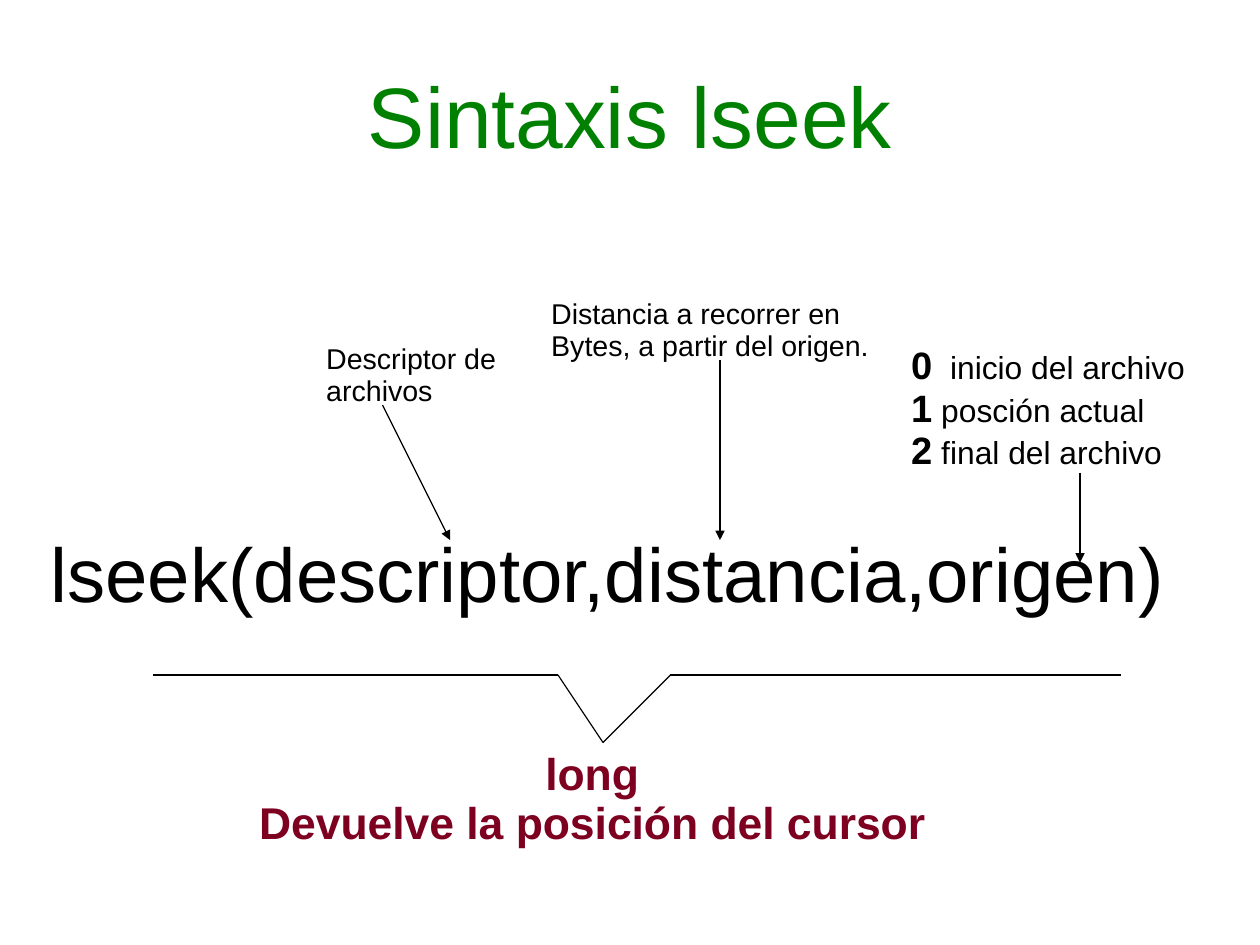
from itertools import pairwise

from lxml import etree
from pptx import Presentation
from pptx import util as u
from pptx.dml.color import RGBColor
from pptx.enum import shapes, text
from pptx.oxml.ns import qn

# Content: the slide is a grid of 28 columns by 21 rows, one centimetre each
COLS, ROWS = 28, 21
BLACK, GREEN, WINE, WHITE = "000000", "008000", "7E0021", "FFFFFF"
FONT = "Arial"
LEFT, MID = text.PP_ALIGN.LEFT, text.PP_ALIGN.CENTER

# Each run: wording, size, bold
TITLE = [[("Sintaxis lseek", 54, False)]]
CALL = [[("lseek(descriptor,distancia,origen)", 48, False)]]

# Each note: area, alignment, colour, top margin, lines
NOTES = [
    ((7, 7.5, 4.27, 1.68), LEFT, BLACK, 0.06,
     [[("Descriptor de", 18, False)], [("archivos", 18, False)]]),
    ((12, 6.5, 7.72, 3), LEFT, BLACK, 0.06,
     [[("Distancia a recorrer en", 18, False)],
      [("Bytes, a partir del origen.", 18, False)]]),
    ((20, 7.5, 6.58, 3.15), LEFT, BLACK, 0.07,
     [[("0", 24, True), ("  inicio del archivo", 20, False)],
      [("1", 24, True), (" posción actual", 20, False)],
      [("2", 24, True), (" final del archivo", 20, False)]]),
    ((5.5, 16.5, 15.32, 2.51), MID, WINE, 0.07,
     [[("long", 28, True)], [("Devuelve la posición del cursor", 28, True)]]),
]
ARROWS = [((8.5, 9), (10, 12)), ((16, 8), (16, 12)), ((24, 10.5), (24, 12.5))]
BRACE = [(3.4, 15), (12.4, 15), (13.4, 16.5), (14.9, 15), (24.9, 15)]


def color(code):
    return RGBColor.from_string(code)


def grid(*cells):
    return [u.Cm(cell) for cell in cells]


def write(shape, lines, align, code, side=0, top=0.05, wrap=True, anchor="MIDDLE"):
    frame = shape.text_frame
    frame.text = "\n".join("".join(run[0] for run in line) for line in lines)
    frame.auto_size = text.MSO_AUTO_SIZE.NONE
    frame.word_wrap = wrap
    frame.vertical_anchor = text.MSO_ANCHOR[anchor]
    frame.margin_left = frame.margin_right = u.Inches(side)
    frame.margin_top = u.Inches(top)
    frame.margin_bottom = u.Inches(0.05 if side else 0)
    for para, line in zip(frame.paragraphs, lines):
        para.alignment, para.line_spacing = align, 0.93
        para.space_before = para.space_after = u.Pt(0)
        para.clear()
        for words, size, bold in line:
            run = para.add_run()
            run.text = words
            font = run.font
            font.name, font.size, font.bold = FONT, u.Pt(size), bold
            font.color.rgb = color(code)


def draw(start, end, arrow=False):
    line = slide.shapes.add_connector(
        shapes.MSO_CONNECTOR.STRAIGHT, *grid(*start, *end))
    line.line.color.rgb = color(BLACK)
    line.line.width = u.Pt(0.75)
    props = line._element.spPr
    if arrow:
        etree.SubElement(props.find(qn("a:ln")), qn("a:tailEnd"), type="triangle")
    etree.SubElement(props, qn("a:effectLst"))


deck = Presentation()
deck.slide_width = u.Cm(COLS)
deck.slide_height = u.Cm(ROWS)
slide = deck.slides.add_slide(deck.slide_layouts[5])

# Title
title = slide.shapes.title
title.left, title.top, title.width, title.height = grid(1.4, 0.84, 25.2, 3.5)
write(title, TITLE, MID, GREEN)

# Function call
call = slide.shapes.add_shape(
    shapes.MSO_SHAPE.RECTANGLE, *grid(0.5, 9.5, 26, 6.5))
call.shadow.inherit = False
call.fill.solid()
call.fill.fore_color.rgb = color(WHITE)
call.line.fill.background()
write(call, CALL, MID, BLACK)

# Notes on the arguments and the result
for area, align, code, top, lines in NOTES:
    box = slide.shapes.add_textbox(*grid(*area))
    write(box, lines, align, code, 0.1, top, False, "TOP")

# Arrows to the arguments, then the brace below the call
for start, end in ARROWS:
    draw(start, end, True)
for start, end in pairwise(BRACE):
    draw(start, end)

deck.save("out.pptx")
